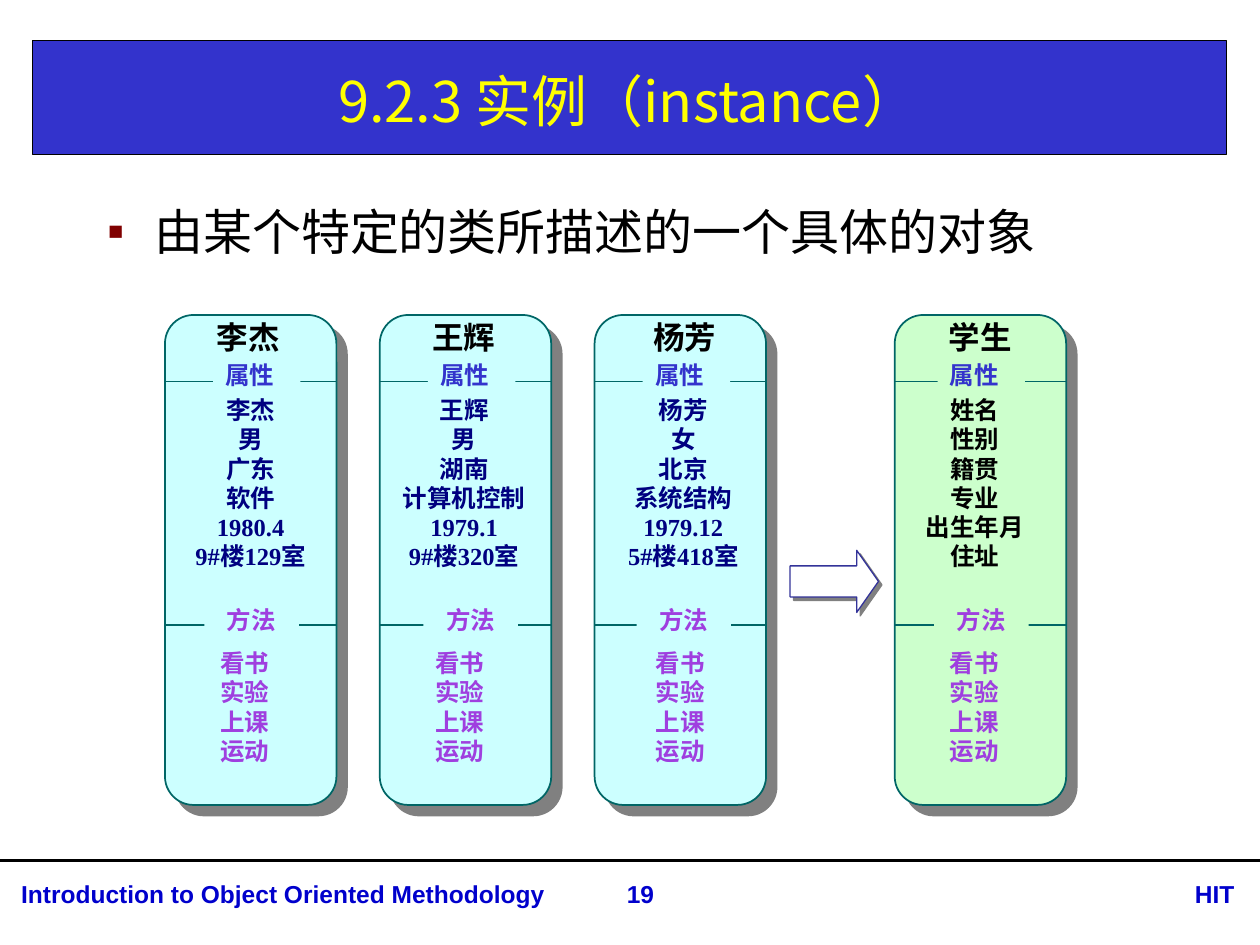
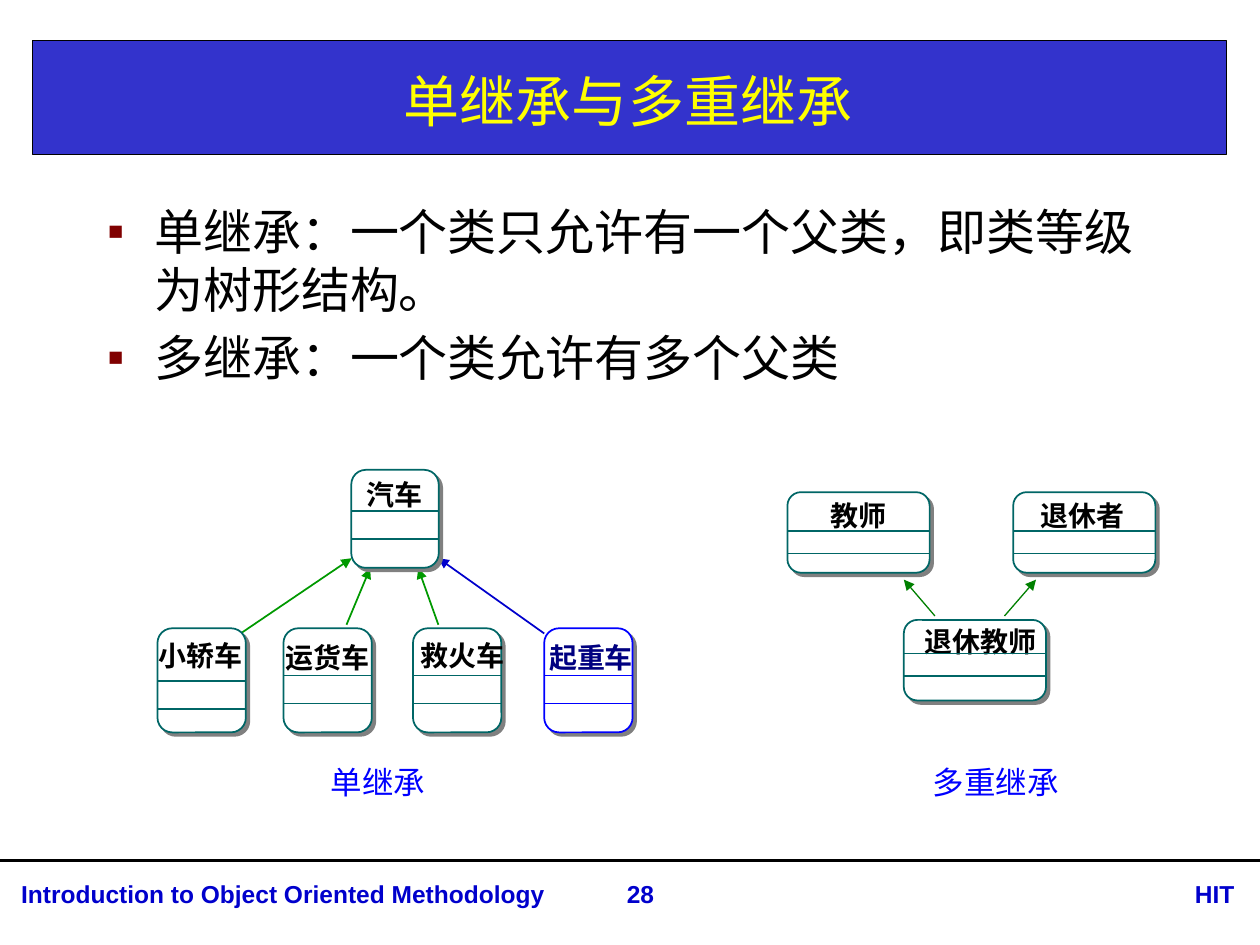
from lxml import etree
from pptx import Presentation
from pptx.dml.color import RGBColor
from pptx.enum import shapes, text
from pptx.oxml.ns import qn
from pptx.util import Pt

BLACK = RGBColor(0x00, 0x00, 0x00)
WHITE = RGBColor(0xFF, 0xFF, 0xFF)
GRAY = RGBColor(0x80, 0x80, 0x80)
YELLOW = RGBColor(0xFF, 0xFF, 0x00)
BAND_BLUE = RGBColor(0x33, 0x33, 0xCC)
FOOTER_BLUE = RGBColor(0x00, 0x00, 0xCC)
BRIGHT_BLUE = RGBColor(0x00, 0x00, 0xFF)
INDIGO = RGBColor(0x33, 0x33, 0x99)
NAVY = RGBColor(0x00, 0x00, 0x80)
MAROON = RGBColor(0x80, 0x00, 0x00)
PURPLE = RGBColor(0x9F, 0x3F, 0xDF)
TEAL = RGBColor(0x00, 0x66, 0x66)
PALE_CYAN = RGBColor(0xCC, 0xFF, 0xFF)
PALE_GREEN = RGBColor(0xCC, 0xFF, 0xCC)
GREEN = RGBColor(0x00, 0x99, 0x00)
DARK_GREEN = RGBColor(0x00, 0x80, 0x00)

SANS = "Noto Sans CJK SC"
SERIF = "Times New Roman"
LINE_HEIGHT = 1.19
LEFT, CENTER, RIGHT = text.PP_ALIGN.LEFT, text.PP_ALIGN.CENTER, text.PP_ALIGN.RIGHT


class Deck:
    """Holds the shared style and the slide being built."""

    def __init__(self):
        self.prs = Presentation()
        self.prs.slide_width, self.prs.slide_height = Pt(720), Pt(540)
        self.slide = None

    def new_slide(self, title, points, page):
        self.slide = self.prs.slides.add_slide(self.prs.slide_layouts[1])
        # Title on its band
        band = self.box((18.75, 23, 682, 65.5), BAND_BLUE, BLACK, 0.75)
        self.slide.shapes._spTree.insert(2, band._element)
        heading = self.slide.shapes.title
        self.place(heading, (18.75, 26, 680.5, 62.5))
        self.fill_text(heading, [title], 32, YELLOW, SANS, CENTER, bold=False)
        heading.text_frame.vertical_anchor = text.MSO_ANCHOR.MIDDLE
        # Bulleted list
        body = self.slide.placeholders[1]
        self.place(body, (54, 111.6, 623.5, 340.5))
        self.fill_text(body, points, 28, BLACK, SANS, bold=False)
        for paragraph in body.text_frame.paragraphs:
            self.bullet(paragraph)
            paragraph.space_after = Pt(5.6)
        # Footer
        self.line((0, 491.75), (720, 491.75), BLACK, 2.25)
        for words, left, width, align in (
            ("Introduction to Object Oriented Methodology", 5, 333.5, LEFT),
            ("HIT", 638.5, 74, RIGHT),
            (page, 329, 74, CENTER),
        ):
            self.label([words], (left, 499, width, 24.5), 14, FOOTER_BLUE, "Arial", align)

    @staticmethod
    def place(shape, area):
        shape.left, shape.top, shape.width, shape.height = map(Pt, area)

    @staticmethod
    def fill_text(shape, lines, size, color, font=SERIF, align=LEFT, bold=True):
        frame = shape.text_frame
        frame.text = "\n".join(lines)
        frame.word_wrap = True
        frame.auto_size = text.MSO_AUTO_SIZE.NONE
        frame.vertical_anchor = text.MSO_ANCHOR.TOP
        for paragraph in frame.paragraphs:
            paragraph.alignment = align
            paragraph.line_spacing = Pt(size * LINE_HEIGHT)
            paragraph.space_before = Pt(0)
            for run in paragraph.runs:
                run.font.size, run.font.bold, run.font.name = Pt(size), bold, font
                run.font.color.rgb = color
                east_asian = etree.SubElement(run._r.get_or_add_rPr(), qn("a:ea"))
                east_asian.set("typeface", SANS)

    @staticmethod
    def bullet(paragraph):
        props = paragraph._p.get_or_add_pPr()
        props.set("marL", str(Pt(27)))
        props.set("indent", str(-Pt(27)))
        color = etree.SubElement(props, qn("a:buClr"))
        etree.SubElement(color, qn("a:srgbClr")).set("val", str(MAROON))
        etree.SubElement(props, qn("a:buChar")).set("char", "▪")

    def label(self, lines, area, size, color, font=SERIF, align=LEFT, bold=True):
        label = self.slide.shapes.add_textbox(*map(Pt, area))
        self.fill_text(label, lines, size, color, font, align, bold)

    def tag(self, words, left, top, size, color, font=SERIF, bold=True):
        """One-line label, as wide as its characters need."""
        self.label([words], (left, top, size * len(words) + 18, 30), size, color, font, bold=bold)

    def box(self, area, fill, outline=None, weight=1, kind="RECTANGLE", shadow=0):
        box = self.slide.shapes.add_shape(shapes.MSO_SHAPE[kind], *map(Pt, area))
        box.fill.solid()
        box.fill.fore_color.rgb = fill
        if outline is None:
            box.line.fill.background()
        else:
            box.line.color.rgb = outline
            box.line.width = Pt(weight)
        box.shadow.inherit = False
        if shadow:
            effects = box._element.spPr.find(qn("a:effectLst"))
            cast = etree.SubElement(effects, qn("a:outerShdw"), dist=str(Pt(shadow)),
                                    dir="2700000", algn="ctr", rotWithShape="0")
            etree.SubElement(cast, qn("a:srgbClr")).set("val", str(GRAY))
        return box

    def line(self, start, end, color, weight=1, arrow=False):
        line = self.slide.shapes.add_connector(
            shapes.MSO_CONNECTOR.STRAIGHT, *map(Pt, start + end))
        line.line.color.rgb = color
        line.line.width = Pt(weight)
        if arrow:
            etree.SubElement(line.line._get_or_add_ln(), qn("a:tailEnd")).set("type", "triangle")
        etree.SubElement(line._element.spPr, qn("a:effectLst"))

    def object_card(self, left, fill, name, values, value_color, value_area, offsets):
        """Tall card: name, attributes and methods, split by two rules."""
        name_x, attribute_x, method_x, action_x = (left + dx for dx in offsets)
        self.box((left, 180, 98, 280), fill, TEAL, 1, "ROUNDED_RECTANGLE", 8.5)
        for y in (218, 357):
            self.line((left, y), (left + 98, y), TEAL)
        value_left, value_width = value_area
        self.label(values, (value_left, 222.5, value_width, 135), 14, value_color, align=CENTER)
        self.label(["看书", "实验", "上课", "运动"], (action_x, 367, 49, 93), 14, PURPLE)
        methods = self.box((method_x, 342.5, 54, 24), fill)
        self.fill_text(methods, ["方法"], 14, PURPLE, align=CENTER)
        attributes = self.box((attribute_x, 202.5, 50, 21.5), fill)
        self.fill_text(attributes, ["属性"], 14, BAND_BLUE)
        self.tag(name, name_x, 178.5, 18, BLACK)

    def class_box(self, area, name, name_at, rules, outline=TEAL, color=BLACK):
        """Class symbol: name above two rules at the given heights."""
        left, _, width, _ = area
        self.box(area, WHITE, outline, 1, "ROUNDED_RECTANGLE", 2.8)
        self.tag(name, *name_at, 16, color)
        for y in rules:
            self.line((left, y), (left + width, y), outline)


def instance_slide(deck):
    deck.new_slide("9.2.3 实例（instance）", ["由某个特定的类所描述的一个具体的对象"], "19")
    # Three instances
    people = (
        (["李杰", "男", "广东", "软件", "1980.4", "9#楼129室"],
         (94.25, 98), (22.5, 27.5, 22.5, 24.5)),
        (["王辉", "男", "湖南", "计算机控制", "1979.1", "9#楼320室"],
         (211.5, 107.5), (23, 27.5, 25, 24.5)),
        (["杨芳", "女", "北京", "系统结构", "1979.12", "5#楼418室"],
         (347.75, 85.5), (26.5, 27.5, 24, 28)),
    )
    for i, (values, value_area, offsets) in enumerate(people):
        deck.object_card(94.25 + 122.75 * i, PALE_CYAN, values[0], values, NAVY,
                         value_area, offsets)
    # Arrow to their class
    arrow = deck.box((451.5, 314.5, 50.5, 35.5), WHITE, INDIGO, 0.75, "RIGHT_ARROW", 2.8)
    arrow.adjustments[1] = 0.35
    deck.object_card(511.25, PALE_GREEN, "学生",
                     ["姓名", "性别", "籍贯", "专业", "出生年月", "住址"], BLACK,
                     (515.5, 83), (23.75, 24.5, 22.5, 24.5))


def inheritance_slide(deck):
    deck.new_slide("单继承与多重继承",
                   ["单继承：一个类只允许有一个父类，即类等级为树形结构。",
                    "多继承：一个类允许有多个父类"], "28")
    # Single inheritance: arrows first, below the boxes
    for start, end, color in (
        ((137.5, 362), (201, 319), GREEN),
        ((198, 357), (211.5, 324.75), GREEN),
        ((311, 362), (250.5, 319), FOOTER_BLUE),
        ((250.5, 357), (239, 324.75), GREEN),
    ):
        deck.line(start, end, color, arrow=True)
    deck.class_box((200.75, 268.5, 50, 56), "汽车", (202.25, 269.25), (292, 308))
    for left, name, name_at, first_rule, outline, color in (
        (90, "小轿车", (83.75, 361.5), 389, TEAL, BLACK),
        (162, "运货车", (156, 362.75), 386, TEAL, BLACK),
        (236, "救火车", (233.5, 361.5), 386, TEAL, BLACK),
        (311, "起重车", (306.75, 362.75), 386, BRIGHT_BLUE, NAVY),
    ):
        deck.class_box((left, 359, 50.5, 59.5), name, name_at,
                       (first_rule, first_rule + 16), outline, color)
    # Multiple inheritance
    for left, top, name, name_at, first_rule in (
        (579, 281.25, "退休者", (587.5, 281.25), 303.25),
        (450, 281.25, "教师", (467.75, 281.25), 303.25),
        (516.5, 354.25, "退休教师", (521.25, 353.5), 373.5),
    ):
        deck.class_box((left, top, 81.25, 46), name, name_at,
                       (first_rule, first_rule + 13))
    deck.line((534.25, 352), (516.5, 331.25), DARK_GREEN, 0.75, arrow=True)
    deck.line((574, 352), (592, 331.25), DARK_GREEN, 0.75, arrow=True)
    # Captions
    for caption, left in (("单继承", 182), ("多重继承", 526)):
        deck.tag(caption, left, 432.5, 18, BRIGHT_BLUE, SANS, bold=False)


def main():
    deck = Deck()
    instance_slide(deck)
    inheritance_slide(deck)
    deck.prs.save("out.pptx")


if __name__ == "__main__":
    main()
